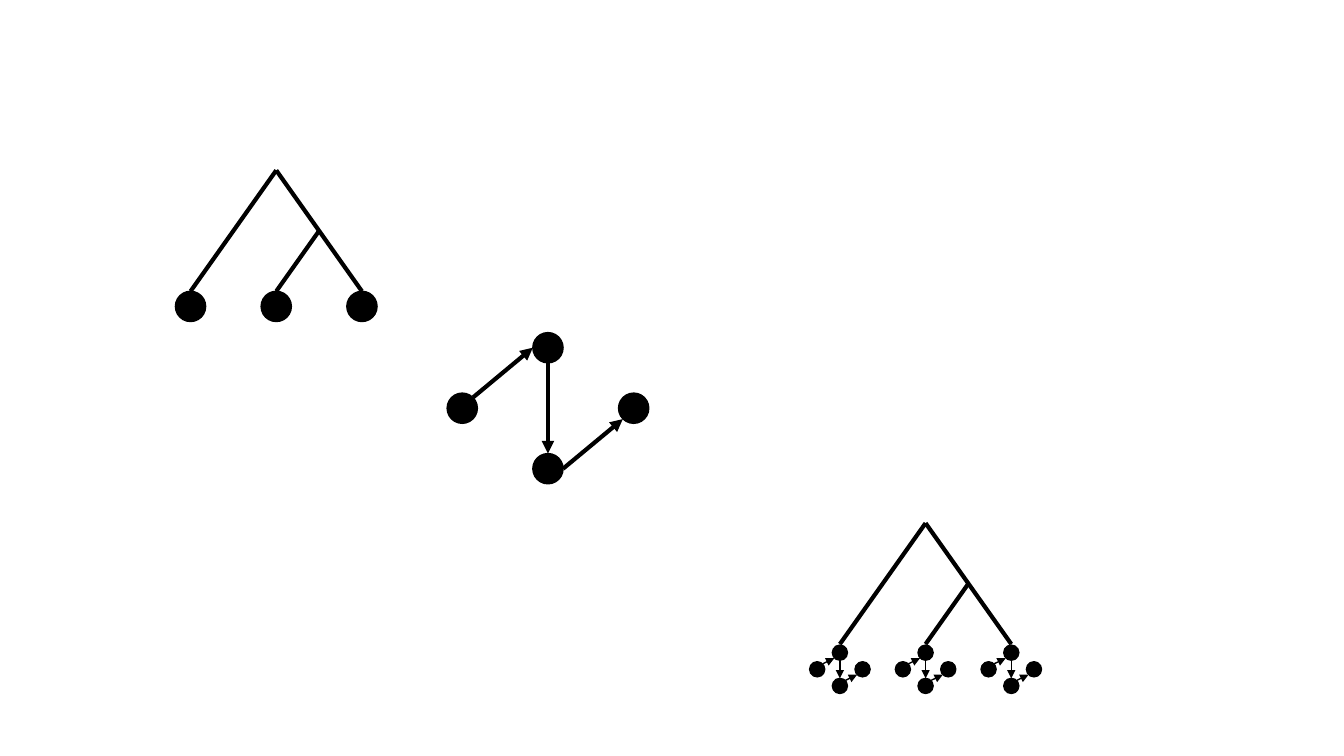
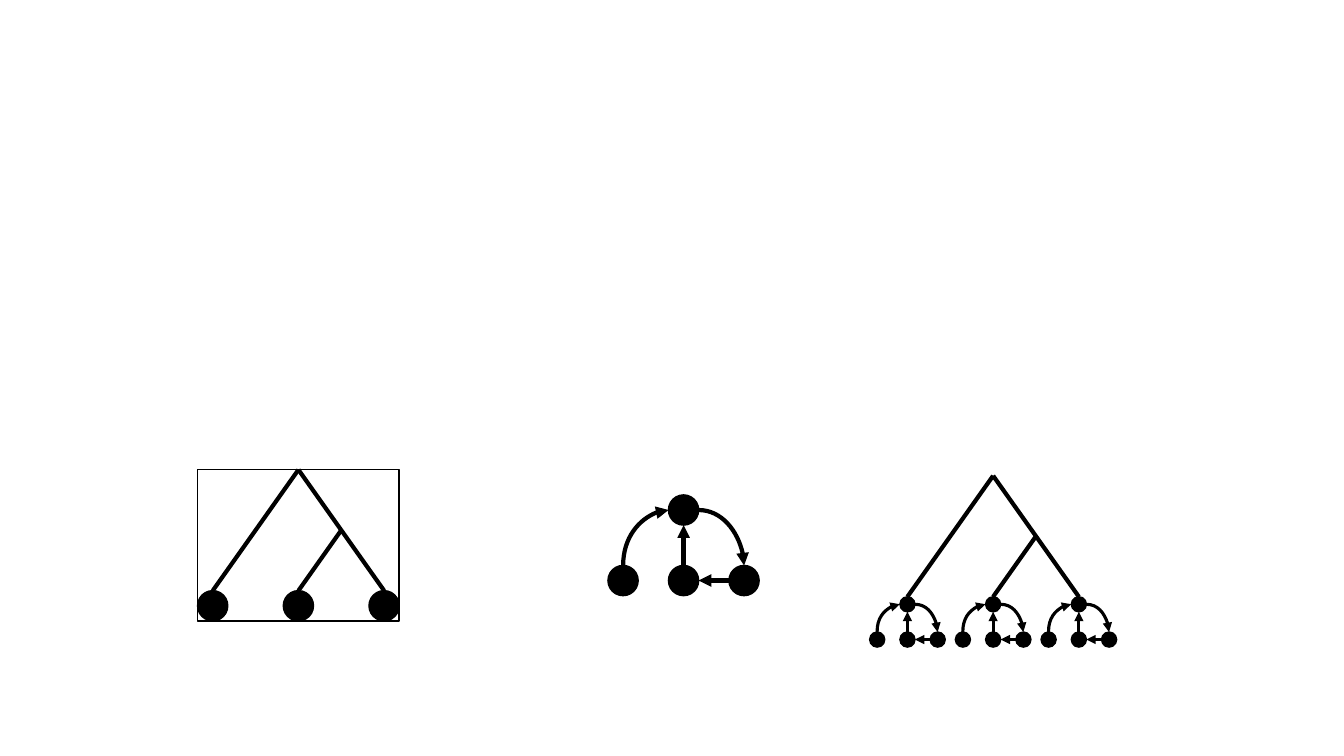
from lxml.etree import SubElement
from pptx import Presentation
from pptx.dml.color import RGBColor
from pptx.enum.shapes import MSO_CONNECTOR as Link, MSO_SHAPE as Preset
from pptx.oxml.ns import qn
from pptx.util import Inches, Pt

COLORS = {"ink": "000000", "paper": "FFFFFF"}
BRANCH_GAP = 0.85
TREE_HEIGHT = 1.2
DOT = 0.15
SMALL_DOT = 0.075


class Diagram:
    def __init__(self, deck):
        self.deck = deck

    def color(self, name):
        return RGBColor.from_string(COLORS[name])

    def new_slide(self):
        self.slide = self.deck.slides.add_slide(self.deck.slide_layouts[6])
        background = self.slide.background.fill
        background.solid()
        background.fore_color.rgb = self.color("paper")
        self.shapes = self.slide.shapes

    def start_group(self):
        self.shapes = self.slide.shapes.add_group_shape().shapes

    def end_group(self):
        self.shapes = self.slide.shapes

    def outline(self, item, weight):
        item.line.color.rgb = self.color("ink")
        item.line.width = Pt(weight)

    def dot(self, center, radius):
        x, y = center
        node = self.shapes.add_shape(Preset.OVAL, Inches(x - radius), Inches(y - radius),
                                     Inches(2 * radius), Inches(2 * radius))
        node.shadow.inherit = False
        node.fill.solid()
        node.fill.fore_color.rgb = self.color("ink")
        self.outline(node, 1)

    def frame(self, left, top, width, height):
        border = self.shapes.add_shape(Preset.RECTANGLE, Inches(left), Inches(top),
                                       Inches(width), Inches(height))
        border.shadow.inherit = False
        border.fill.background()
        self.outline(border, 1)

    def link(self, start, end, weight, arrow=True, kind=Link.STRAIGHT):
        edge = self.shapes.add_connector(kind, *(Inches(v) for v in (*start, *end)))
        self.outline(edge, weight)
        properties = edge._element.spPr
        if arrow:
            SubElement(properties.find(qn("a:ln")), qn("a:tailEnd"), type="triangle")
        SubElement(properties, qn("a:effectLst"))
        return properties

    def arc(self, start, end, weight, rising=False):
        if rising:
            mid_x, mid_y = (start[0] + end[0]) / 2, (start[1] + end[1]) / 2
            half_w, half_h = abs(end[1] - start[1]) / 2, abs(end[0] - start[0]) / 2
            start, end = (mid_x + half_w, mid_y + half_h), (mid_x - half_w, mid_y - half_h)
        properties = self.link(start, end, weight, kind=Link.CURVE)
        properties.find(qn("a:prstGeom")).set("prst", "curvedConnector2")
        if rising:
            properties.find(qn("a:xfrm")).set("rot", "5400000")

    def tree(self, x, y, leaf_radius=0):
        base = y + TREE_HEIGHT
        leaves = [x + step * BRANCH_GAP for step in (-1, 0, 1)]
        fork = (x + BRANCH_GAP / 2, y + TREE_HEIGHT / 2)
        for start, leaf in zip([(x, y), fork, (x, y)], leaves):
            self.link(start, (leaf, base), 3, arrow=False)
        if leaf_radius:
            for leaf in leaves:
                self.dot((leaf, base + leaf_radius), leaf_radius)
        return leaves

    def zigzag(self, x, y, dx, dy, radius, weight, side):
        left, top, right, bottom = (x - dx, y), (x, y - dy), (x + dx, y), (x, y + dy)
        for center in (left, top, right, bottom):
            self.dot(center, radius)
        slant = radius * 0.72
        side_x, side_y = side
        self.link((left[0] + slant, y - slant), (x - side_x, top[1] + side_y), weight)
        self.link((x, top[1] + radius), (x, bottom[1] - radius), weight)
        self.link((x + side_x, bottom[1] - side_y), (right[0] - slant, y + slant), weight)

    def loop(self, x, y, radius, weight):
        dx, dy = 4 * radius, 14 / 3 * radius
        base = y + dy
        for center in ((x, y), (x - dx, base), (x, base), (x + dx, base)):
            self.dot(center, radius)
        self.arc((x - dx, base - radius), (x - radius, y), weight, rising=True)
        self.arc((x + radius, y), (x + dx, base - radius), weight)
        self.link((x + dx - radius, base), (x + radius, base), weight, kind=Link.CURVE)
        self.link((x, base - radius), (x, y + radius), weight)


deck = Presentation()
deck.slide_width, deck.slide_height = Inches(13.33), Inches(7.5)
diagram = Diagram(deck)

diagram.new_slide()
diagram.tree(2.74, 1.69, DOT)
diagram.zigzag(5.435, 4.05, 0.85, 0.6, DOT, 3, side=(DOT, 0))
for leaf_x in diagram.tree(9.18, 5.19):
    diagram.zigzag(leaf_x, 6.64, 0.225, 0.165, SMALL_DOT, 1, side=(0.055, 0.055))

diagram.new_slide()
diagram.start_group()
diagram.tree(2.96, 4.66, DOT)
diagram.start_group()
diagram.loop(6.78, 5.06, DOT, 3)
diagram.start_group()
for leaf_x in diagram.tree(9.85, 4.72):
    diagram.loop(leaf_x, 4.72 + TREE_HEIGHT + SMALL_DOT, SMALL_DOT, 2.25)
diagram.end_group()
diagram.frame(1.96, 4.66, 2, 1.5)

deck.save("out.pptx")
